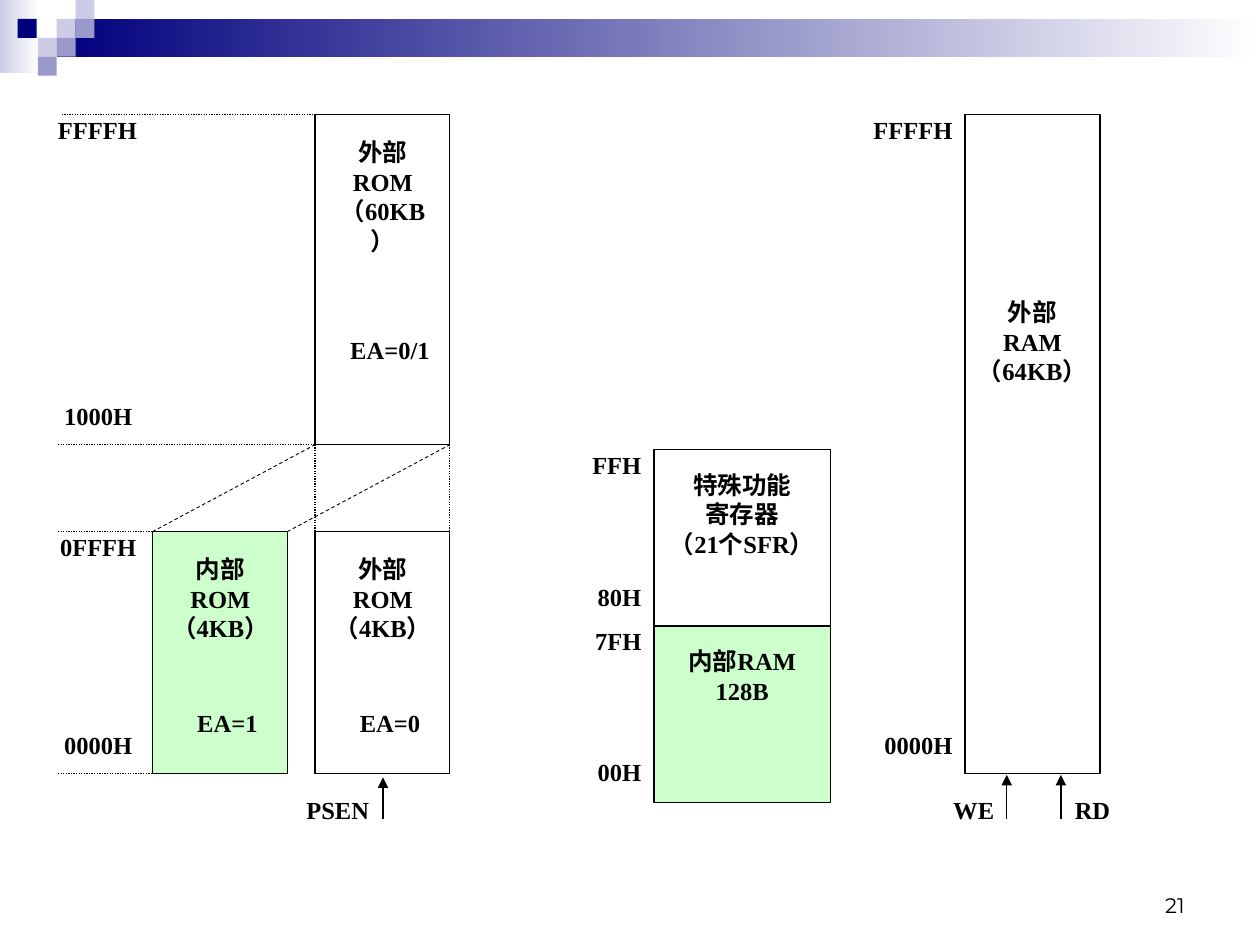
from lxml import etree
from pptx import Presentation
from pptx.dml.color import RGBColor
from pptx.enum.dml import MSO_LINE
from pptx.enum.shapes import MSO_CONNECTOR, MSO_SHAPE
from pptx.enum.text import MSO_ANCHOR, PP_ALIGN
from pptx.oxml.ns import qn
from pptx.util import Inches, Pt

RECT = MSO_SHAPE.RECTANGLE
STRAIGHT = MSO_CONNECTOR.STRAIGHT
DOT, DASH = MSO_LINE.ROUND_DOT, MSO_LINE.DASH
TOP, BOTTOM = MSO_ANCHOR.TOP, MSO_ANCHOR.BOTTOM
LEFT, CENTER, RIGHT = PP_ALIGN.LEFT, PP_ALIGN.CENTER, PP_ALIGN.RIGHT

BLACK = RGBColor(0x00, 0x00, 0x00)
WHITE = RGBColor(0xFF, 0xFF, 0xFF)
NAVY = RGBColor(0x00, 0x00, 0x7D)
LAVENDER = RGBColor(0xCC, 0xCC, 0xE6)
PERIWINKLE = RGBColor(0x99, 0x99, 0xCC)
GREEN = RGBColor(0xCC, 0xFF, 0xCC)

# Shared edges of the memory map, in inches
MAP_TOP, ROM_SPLIT, ROM_LOW, MAP_BOTTOM = 0.91, 3.53, 4.22, 6.14
INNER_X, OUTER_X, ROM_W = 1.21, 2.5, 1.07
SFR_X, SFR_TOP, SFR_W, SFR_H = 5.19, 3.57, 1.4, 1.4
RAM_X = 7.66
LABEL_H = 0.35


def add_rect(slide, x, y, w, h):
    sp = slide.shapes.add_shape(RECT, Inches(x), Inches(y), Inches(w), Inches(h))
    sp.shadow.inherit = False
    return sp


def add_tile(slide, x, y, color, size=0.15):
    sp = add_rect(slide, x, y, size, size)
    sp.fill.solid()
    sp.fill.fore_color.rgb = color
    sp.line.fill.background()


def add_fade(slide, x, y, w, h, color_left, color_right):
    sp = add_rect(slide, x, y, w, h)
    sp.fill.gradient()
    sp.fill.gradient_angle = 0
    for stop, color in zip(sp.fill.gradient_stops, (color_left, color_right)):
        stop.color.rgb = color
    sp.line.fill.background()


def write(sp, lines, align, inset=(0, 0), anchor=TOP, font="Times New Roman",
          size=14, bold=True):
    """Fill a shape with one paragraph per line; inset is (side, top)."""
    tf = sp.text_frame
    tf.word_wrap = True
    tf.vertical_anchor = anchor
    side, top = inset
    tf.margin_left = tf.margin_right = Inches(side)
    tf.margin_top, tf.margin_bottom = Inches(top), 0
    for i, line in enumerate(lines):
        p = tf.paragraphs[0] if i == 0 else tf.add_paragraph()
        p.text = line
        p.alignment = align
        p.font.name = font
        p.font.size = Pt(size)
        p.font.bold = bold
        p.font.color.rgb = BLACK


def add_block(slide, x, y, w, h, color=None, lines=()):
    """Outlined memory region, optionally filled and titled."""
    sp = add_rect(slide, x, y, w, h)
    if color is None:
        sp.fill.background()
    else:
        sp.fill.solid()
        sp.fill.fore_color.rgb = color
    sp.line.color.rgb = BLACK
    sp.line.width = Pt(0.75)
    if lines:
        write(sp, lines, CENTER, inset=(0, 0.16))


def add_label(slide, x, y, w, h, lines, align=CENTER, **style):
    sp = slide.shapes.add_textbox(Inches(x), Inches(y), Inches(w), Inches(h))
    write(sp, lines, align, **style)


def add_line(slide, x1, y1, x2, y2, width=0.75, dash=None, arrow=False):
    line = slide.shapes.add_connector(
        STRAIGHT, Inches(x1), Inches(y1), Inches(x2), Inches(y2))
    line.line.color.rgb = BLACK
    line.line.width = Pt(width)
    if dash is not None:
        line.line.dash_style = dash
    if arrow:
        ln = line.line._get_or_add_ln()
        etree.SubElement(ln, qn("a:tailEnd"), type="triangle")
    etree.SubElement(line._element.spPr, qn("a:effectLst"))


def add_header(slide):
    add_fade(slide, 0, 0, 0.31, 0.58, LAVENDER, WHITE)
    add_fade(slide, 0.45, 0.15, 9.55, 0.3, NAVY, WHITE)
    for x, y, color in (
        (0.45, 0.15, LAVENDER), (0.6, 0, LAVENDER), (0.6, 0.15, PERIWINKLE),
        (0.3, 0.3, LAVENDER), (0.14, 0.15, NAVY), (0.45, 0.3, PERIWINKLE),
        (0.3, 0.45, PERIWINKLE),
    ):
        add_tile(slide, x, y, color)


def add_rom_map(slide):
    for x, top, bottom, color, title, size, mode, mode_y in (
        (OUTER_X, MAP_TOP, ROM_SPLIT, WHITE, "外部", "（60KB）", "EA=0/1", 2.66),
        (INNER_X, ROM_LOW, MAP_BOTTOM, GREEN, "内部", "（4KB）", "EA=1", 5.62),
        (OUTER_X, ROM_LOW, MAP_BOTTOM, None, "外部", "（4KB）", "EA=0", 5.62),
    ):
        add_block(slide, x, top, ROM_W, bottom - top, color)
        add_label(slide, x + 0.11, top + 0.18, 0.86, 1.04, (title, "ROM", size))
        add_label(slide, x + 0.22, mode_y, 0.75, LABEL_H, (mode,))

    for y, text in ((5.79, "0000H"), (ROM_LOW, "0FFFH"), (3.18, "1000H")):
        add_label(slide, 0.35, y, 0.86, LABEL_H, (text,))
    add_label(slide, 0.46, MAP_TOP, 0.86, LABEL_H, ("FFFFH",), LEFT)

    for y, x1, x2 in (
        (MAP_TOP, 0.49, OUTER_X), (ROM_SPLIT, 0.46, OUTER_X),
        (ROM_LOW, 0.46, INNER_X), (MAP_BOTTOM, 0.46, INNER_X),
    ):
        add_line(slide, x1, y, x2, y, dash=DOT)
    for offset in (0, ROM_W):
        x = OUTER_X + offset
        add_line(slide, x, ROM_SPLIT, x, ROM_LOW, dash=DOT)
        add_line(slide, INNER_X + offset, ROM_LOW, x, ROM_SPLIT, 0.5, DASH)

    add_label(slide, 2.07, 6.31, 0.86, LABEL_H, ("PSEN",), RIGHT)
    add_line(slide, 3.04, 6.5, 3.04, 6.17, arrow=True)


def add_internal_ram(slide):
    add_block(slide, SFR_X, SFR_TOP, SFR_W, SFR_H,
              lines=("特殊功能", "寄存器", "（21个SFR）"))
    add_block(slide, SFR_X, SFR_TOP + SFR_H, SFR_W, SFR_H, GREEN,
              ("内部RAM", "128B"))
    for y, text in ((3.57, "FFH"), (4.62, "80H"), (4.97, "7FH"), (6.01, "00H")):
        add_label(slide, 4.44, y, 0.65, LABEL_H, (text,), RIGHT)


def add_external_ram(slide):
    add_block(slide, RAM_X, MAP_TOP, ROM_W, MAP_BOTTOM - MAP_TOP, WHITE)
    add_label(slide, RAM_X, 2.31, ROM_W, 1.92, ("外部", "RAM", "（64KB）"),
              inset=(0, 0.05))
    for y, text in ((MAP_TOP, "FFFFH"), (5.79, "0000H")):
        add_label(slide, 6.91, y, 0.65, LABEL_H, (text,), RIGHT)
    for arrow_x, label_x, text, align in (
        (7.99, 7.24, "WE", RIGHT), (8.42, 8.53, "RD", LEFT),
    ):
        add_line(slide, arrow_x, 6.5, arrow_x, 6.15, arrow=True)
        add_label(slide, label_x, 6.31, 0.65, LABEL_H, (text,), align)


def main():
    prs = Presentation()
    prs.slide_width, prs.slide_height = Inches(10), Inches(7.5)
    slide = prs.slides.add_slide(prs.slide_layouts[6])
    add_header(slide)
    add_internal_ram(slide)
    add_external_ram(slide)
    add_rom_map(slide)
    add_label(slide, 7.17, 6.83, 2.33, 0.45, ("21",), RIGHT, inset=(0.1, 0.05),
              anchor=BOTTOM, font="Montserrat", size=12, bold=False)
    prs.save("out.pptx")


if __name__ == "__main__":
    main()
